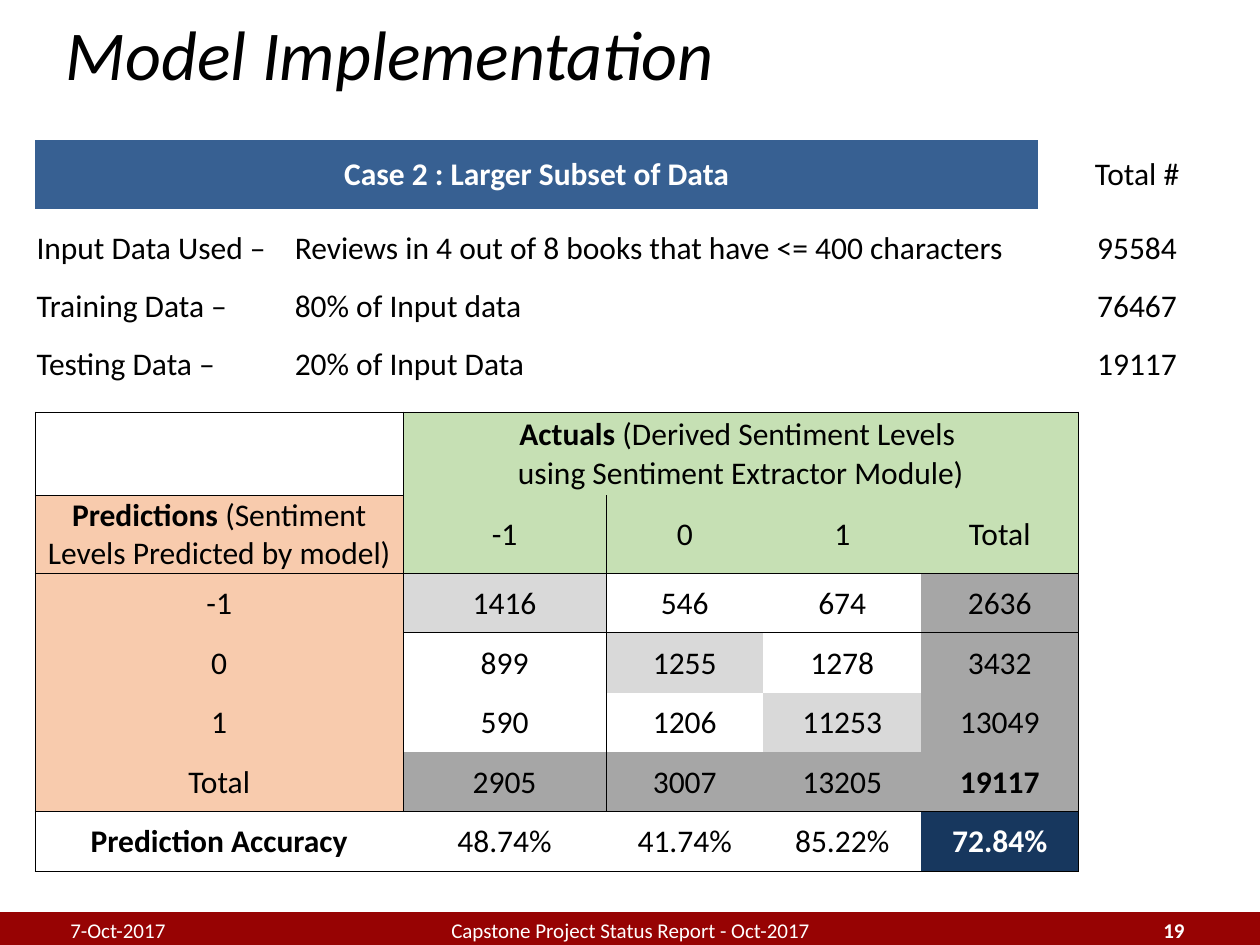
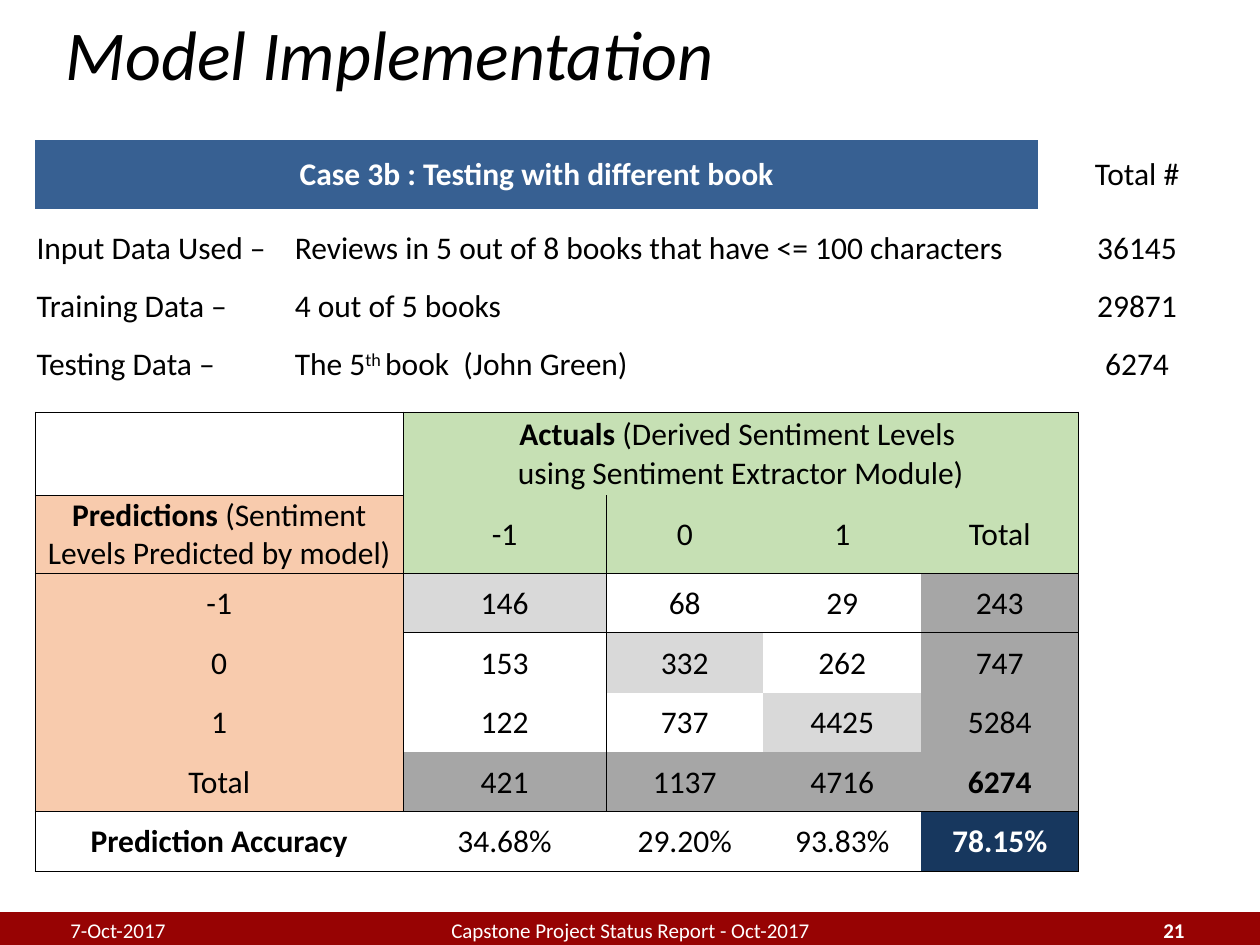
from dataclasses import dataclass

from lxml.etree import SubElement
from pptx import Presentation
from pptx.dml.color import RGBColor
from pptx.enum.shapes import MSO_SHAPE
from pptx.enum.text import MSO_ANCHOR, PP_ALIGN
from pptx.oxml.ns import qn
from pptx.util import Inches, Pt

FONT = "Calibri"
BLACK, WHITE = "000000", "FFFFFF"
FOOTER_RED = "970303"
CASE_BLUE, ACCURACY_BLUE = "376092", "17375E"
ACTUALS_GREEN, PREDICTIONS_ORANGE = "C6E0B4", "F8CBAD"
DIAGONAL_GRAY, TOTAL_GRAY = "D9D9D9", "A6A6A6"
NO_STYLE_TABLE = "{2D5ABB26-0587-4C30-8999-92F81FD0307C}"
LEVELS = ["-1", "0", "1"]
# Outlined blocks of the confusion matrix: top, left, bottom, right
OUTLINES = [(0, 0, 0, 0), (0, 1, 1, 4), (1, 0, 5, 0), (2, 1, 5, 4), (6, 0, 6, 4)]


@dataclass
class Run:
    text: str
    bold: bool = False
    superscript: bool = False


@dataclass
class Case:
    number: str
    heading: str
    data_rows: list  # label, description runs, count
    counts: list  # one row for each predicted level


CASES = [
    Case(
        "19",
        "Case 2 : Larger Subset of Data",
        [
            ("Input Data Used –",
             [Run("Reviews in 4 out of 8 books that have <= 400 characters")], "95584"),
            ("Training Data –", [Run("80% of Input data")], "76467"),
            ("Testing Data –", [Run("20% of Input Data")], "19117"),
        ],
        [[1416, 546, 674], [899, 1255, 1278], [590, 1206, 11253]],
    ),
    Case(
        "21",
        "Case 3b : Testing with different book",
        [
            ("Input Data Used –",
             [Run("Reviews in 5 out of 8 books that have <= 100 characters")], "36145"),
            ("Training Data –", [Run("4 out of 5 books")], "29871"),
            ("Testing Data –",
             [Run("The 5"), Run("th ", superscript=True), Run("book  (John Green)")],
             "6274"),
        ],
        [[146, 68, 29], [153, 332, 262], [122, 737, 4425]],
    ),
]


def color(hex_value):
    return RGBColor.from_string(hex_value)


def write_runs(paragraph, runs, size, text_color=BLACK, italic=False):
    """Add the runs to the paragraph; a newline in a run becomes a line break."""
    for run_data in runs:
        for index, line in enumerate(run_data.text.split("\n")):
            if index:
                paragraph.add_line_break()
            run = paragraph.add_run()
            run.text = line
            font = run.font
            font.name, font.size = FONT, Pt(size)
            font.bold, font.italic = run_data.bold, italic
            font.color.rgb = color(text_color)
            if run_data.superscript:
                font._element.set("baseline", "30000")


def fill_cell(cell, runs, fill=None, text_color=BLACK, alignment=PP_ALIGN.CENTER,
              line_spacing=None):
    paragraph = cell.text_frame.paragraphs[0]
    paragraph.alignment = alignment
    if line_spacing:
        paragraph.line_spacing = line_spacing
    write_runs(paragraph, runs, 18, text_color)
    if fill:
        cell.fill.solid()
        cell.fill.fore_color.rgb = color(fill)
    else:
        cell.fill.background()


def add_plain_table(slide, left, top, column_widths, row_heights):
    frame = slide.shapes.add_table(
        len(row_heights), len(column_widths), Inches(left), Inches(top),
        Inches(sum(column_widths)), Inches(sum(row_heights)))
    table = frame.table
    table.first_row = table.horz_banding = False
    table._tbl.tblPr.find(qn("a:tableStyleId")).text = NO_STYLE_TABLE
    for column, width in zip(table.columns, column_widths):
        column.width = Inches(width)
    for row, height in zip(table.rows, row_heights):
        row.height = Inches(height)
    for cell in table.iter_cells():
        cell.vertical_anchor = MSO_ANCHOR.MIDDLE
        cell.margin_left = cell.margin_top = cell.margin_right = Inches(0.01)
        cell.margin_bottom = 0
    return table


def add_border(cell, side):
    line = SubElement(cell._tc.get_or_add_tcPr(), qn(f"a:ln{side}"), w=str(Pt(0.5)))
    fill = SubElement(line, qn("a:solidFill"))
    SubElement(fill, qn("a:srgbClr"), val=BLACK)


def outline_block(table, top, left, bottom, right):
    for row in range(top, bottom + 1):
        for column in range(left, right + 1):
            cell = table.cell(row, column)
            edges = {
                "L": column == left,
                "R": column + cell.span_width - 1 == right,
                "T": row == top,
                "B": row == bottom,
            }
            for side, on_edge in edges.items():
                if on_edge:
                    add_border(cell, side)


def add_data_table(slide, case, left, top):
    table = add_plain_table(slide, left, top, [2.05, 5.91, 0.14, 1.29],
                            [0.55] + [0.46] * 3)
    table.cell(0, 0).merge(table.cell(0, 1))
    fill_cell(table.cell(0, 0), [Run(case.heading, bold=True)], CASE_BLUE, WHITE)
    fill_cell(table.cell(0, 3), [Run("Total #")])
    for row, (label, description, count) in enumerate(case.data_rows, start=1):
        for column, runs, alignment in (
            (0, [Run(label)], PP_ALIGN.LEFT),
            (1, description, PP_ALIGN.LEFT),
            (3, [Run(count)], PP_ALIGN.CENTER),
        ):
            fill_cell(table.cell(row, column), runs, alignment=alignment,
                      line_spacing=1.5)


def add_confusion_matrix(slide, counts, left, top):
    """Add the matrix; totals and accuracies follow from the counts."""
    table = add_plain_table(slide, left, top, [2.92, 1.61] + [1.25] * 3,
                            [0.66, 0.62, 0.47, 0.48, 0.47, 0.47, 0.48])
    table.cell(0, 1).merge(table.cell(0, 4))
    for block in OUTLINES:
        outline_block(table, *block)

    fill_cell(table.cell(0, 1), [
        Run("Actuals ", bold=True),
        Run("(Derived Sentiment Levels \nusing Sentiment Extractor Module)"),
    ], ACTUALS_GREEN)
    fill_cell(table.cell(1, 0), [
        Run("Predictions ", bold=True),
        Run("(Sentiment Levels Predicted by model)"),
    ], PREDICTIONS_ORANGE)
    for index, label in enumerate(LEVELS + ["Total"]):
        fill_cell(table.cell(1, index + 1), [Run(label)], ACTUALS_GREEN)
        fill_cell(table.cell(index + 2, 0), [Run(label)], PREDICTIONS_ORANGE)

    with_totals = [row + [sum(row)] for row in counts]
    column_totals = [sum(column) for column in zip(*with_totals)]
    last = len(LEVELS)
    for row, values in enumerate(with_totals + [column_totals]):
        for column, value in enumerate(values):
            if last in (row, column):
                fill = TOTAL_GRAY
            else:
                fill = DIAGONAL_GRAY if row == column else None
            is_grand_total = row == column == last
            fill_cell(table.cell(row + 2, column + 1),
                      [Run(str(value), bold=is_grand_total)], fill)

    correct = [counts[index][index] for index in range(last)]
    fill_cell(table.cell(6, 0), [Run("Prediction Accuracy", bold=True)])
    for column, (hits, total) in enumerate(zip(correct + [sum(correct)], column_totals)):
        accuracy = f"{hits / total:.2%}"
        if column == last:
            fill_cell(table.cell(6, column + 1), [Run(accuracy, bold=True)],
                      ACCURACY_BLUE, WHITE)
        else:
            fill_cell(table.cell(6, column + 1), [Run(accuracy)])


def add_footer_band(slide, layout):
    """Draw the red band and move it to the layout, behind everything else."""
    band = slide.shapes.add_shape(MSO_SHAPE.RECTANGLE, 0, Inches(7.25),
                                  Inches(10), Inches(0.25))
    band.shadow.inherit = False
    band.fill.solid()
    band.fill.fore_color.rgb = color(FOOTER_RED)
    band.line.color.rgb = color(FOOTER_RED)
    band.line.width = Pt(2)
    layout.shapes.element.insert(2, band.element)


def add_footer_texts(slide, number, top):
    for left, width, run, alignment in (
        (3.17, 3.67, Run("Capstone Project Status Report - Oct-2017"), PP_ALIGN.CENTER),
        (7.17, 2.33, Run(number, bold=True), PP_ALIGN.RIGHT),
        (0.46, 2.33, Run("7-Oct-2017"), PP_ALIGN.LEFT),
    ):
        box = slide.shapes.add_textbox(Inches(left), Inches(top), Inches(width),
                                       Inches(0.4))
        text_frame = box.text_frame
        text_frame.word_wrap = True
        text_frame.vertical_anchor = MSO_ANCHOR.MIDDLE
        paragraph = text_frame.paragraphs[0]
        paragraph.alignment = alignment
        write_runs(paragraph, [run], 12, WHITE)


def add_title(slide, text):
    title = slide.shapes.title
    title.left, title.top = Inches(0.42), 0
    title.width, title.height = Inches(9.25), Inches(0.83)
    title.text_frame.vertical_anchor = MSO_ANCHOR.MIDDLE
    paragraph = title.text_frame.paragraphs[0]
    paragraph.alignment = PP_ALIGN.LEFT
    write_runs(paragraph, [Run(text)], 40, italic=True)


def add_case_slide(presentation, layout, case):
    slide = presentation.slides.add_slide(layout)
    add_title(slide, "Model Implementation")
    add_footer_texts(slide, case.number, 7.18)
    add_data_table(slide, case, 0.28, 1.11)
    add_confusion_matrix(slide, case.counts, 0.28, 3.27)
    return slide


def main():
    presentation = Presentation()
    presentation.slide_width, presentation.slide_height = Inches(10), Inches(7.5)
    layout = presentation.slide_layouts.get_by_name("Title Only")
    slides = [add_case_slide(presentation, layout, case) for case in CASES]
    add_footer_band(slides[0], layout)
    presentation.save("out.pptx")


if __name__ == "__main__":
    main()
